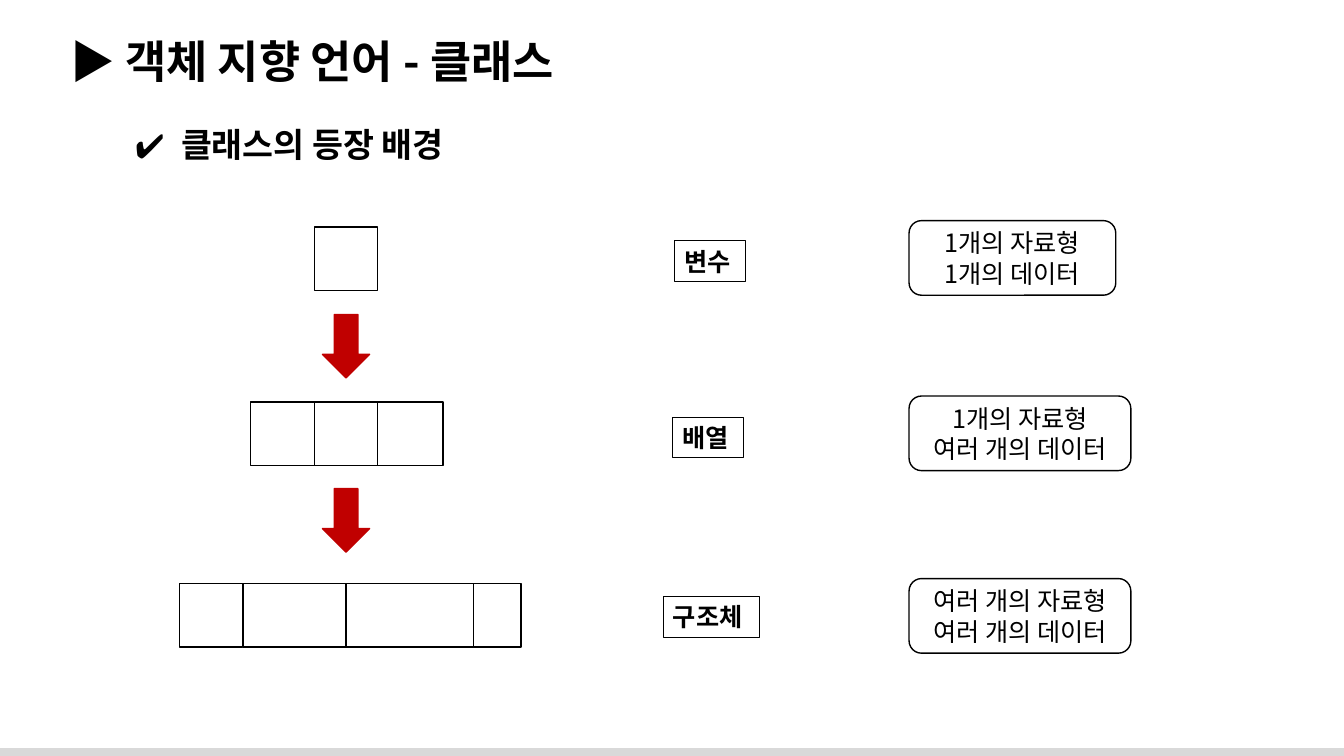
from itertools import accumulate

from lxml import etree
from pptx import Presentation
from pptx import util as u
from pptx.dml.color import RGBColor
from pptx.enum import shapes, text
from pptx.oxml.ns import qn

COLORS = {"ink": "000000", "arrow": "C00000", "footer": "D9D9D9"}
FONT = "Noto Sans CJK KR"
BOX = shapes.MSO_SHAPE.RECTANGLE
ROUNDED = shapes.MSO_SHAPE.ROUNDED_RECTANGLE
ARROW = shapes.MSO_SHAPE.RIGHT_ARROW

STAGES = [
    {"top": 5.72, "left": 7.92, "cells": [1.6],
     "label": "변수", "label_at": (16.99, 6.07, 1.8, 1.02),
     "note": ["1개의 자료형", "1개의 데이터"], "note_at": (22.91, 5.56, 5.21, 1.88)},
    {"top": 10.13, "left": 6.32, "cells": [1.6, 1.6, 1.65],
     "label": "배열", "label_at": (16.94, 10.52, 1.8, 1.02),
     "note": ["1개의 자료형", "여러 개의 데이터"], "note_at": (22.91, 9.98, 5.59, 1.88)},
    {"top": 14.71, "left": 4.52, "cells": [1.6, 2.6, 3.21, 1.2],
     "label": "구조체", "label_at": (16.71, 15.04, 2.44, 1.02),
     "note": ["여러 개의 자료형", "여러 개의 데이터"], "note_at": (22.91, 14.58, 5.59, 1.88)},
]


class SlideBuilder:
    def __init__(self, slide):
        self.slide = slide

    def color(self, name):
        return RGBColor.from_string(COLORS[name])

    def set_text(self, shape, lines, size, bold=False, align=text.PP_ALIGN.LEFT,
                 anchor=text.MSO_ANCHOR.TOP, bullet=None):
        frame = shape.text_frame
        frame.text = "\n".join(lines)
        frame.word_wrap = True
        frame.auto_size = text.MSO_AUTO_SIZE.NONE
        frame.vertical_anchor = anchor
        for paragraph in frame.paragraphs:
            paragraph.alignment = align
            paragraph.space_before = u.Pt(0)
            if bullet:
                self.add_bullet(paragraph, bullet, 1.16)
            font = paragraph.font
            font.name, font.size, font.bold = FONT, u.Pt(size), bold
            font.color.rgb = self.color("ink")
            properties = paragraph._p.pPr.find(qn("a:defRPr"))
            etree.SubElement(properties, qn("a:ea"), typeface=FONT)

    def add_bullet(self, paragraph, character, indent):
        properties = paragraph._p.get_or_add_pPr()
        properties.set("marL", str(u.Cm(indent)))
        properties.set("indent", str(-u.Cm(indent)))
        bullet_color = etree.SubElement(properties, qn("a:buClr"))
        etree.SubElement(bullet_color, qn("a:srgbClr"), val=COLORS["ink"])
        etree.SubElement(properties, qn("a:buFont"), typeface=FONT)
        etree.SubElement(properties, qn("a:buChar"), char=character)

    def placeholder(self, index, position, content, size, bullet=None):
        shape = self.slide.placeholders[index]
        shape.left, shape.top, shape.width, shape.height = map(u.Cm, position)
        self.set_text(shape, [content], size, bold=True, bullet=bullet)

    def shape(self, kind, position, fill=None, line="ink", width=1):
        shape = self.slide.shapes.add_shape(kind, *map(u.Cm, position))
        shape.shadow.inherit = False
        if fill:
            shape.fill.solid()
            shape.fill.fore_color.rgb = self.color(fill)
        else:
            shape.fill.background()
        if line:
            shape.line.color.rgb = self.color(line)
            shape.line.width = u.Pt(width)
        else:
            shape.line.fill.background()
        return shape

    def cells(self, left, top, widths):
        for offset, width in zip(accumulate(widths, initial=0), widths):
            self.shape(BOX, (left + offset, top, width, 1.6))

    def down_arrow(self, top):
        arrow = self.shape(ARROW, (7.92, top, 1.6, 1.19), "arrow", "arrow")
        arrow.rotation = 90

    def label(self, position, content):
        self.set_text(self.shape(BOX, position, width=0.75), [content], 18, bold=True)

    def note(self, position, lines):
        self.set_text(self.shape(ROUNDED, position), lines, 18,
                      align=text.PP_ALIGN.CENTER, anchor=text.MSO_ANCHOR.MIDDLE)


def main():
    presentation = Presentation()
    presentation.slide_width = u.Cm(33.87)
    presentation.slide_height = u.Cm(19.05)
    slide = presentation.slides.add_slide(presentation.slide_layouts[1])
    builder = SlideBuilder(slide)

    builder.shape(BOX, (0, 18.85, 33.87, 0.2), "footer", None)
    builder.placeholder(0, (1.52, 0.71, 32, 1.63), "▶ 객체 지향 언어 - 클래스", 32)
    builder.placeholder(1, (3.15, 3, 9.22, 1.27), "클래스의 등장 배경", 24, "✔")
    for stage in STAGES:
        builder.cells(stage["left"], stage["top"], stage["cells"])
        builder.label(stage["label_at"], stage["label"])
        builder.note(stage["note_at"], stage["note"])
    for top in (8.13, 12.52):
        builder.down_arrow(top)

    presentation.save("out.pptx")


if __name__ == "__main__":
    main()
